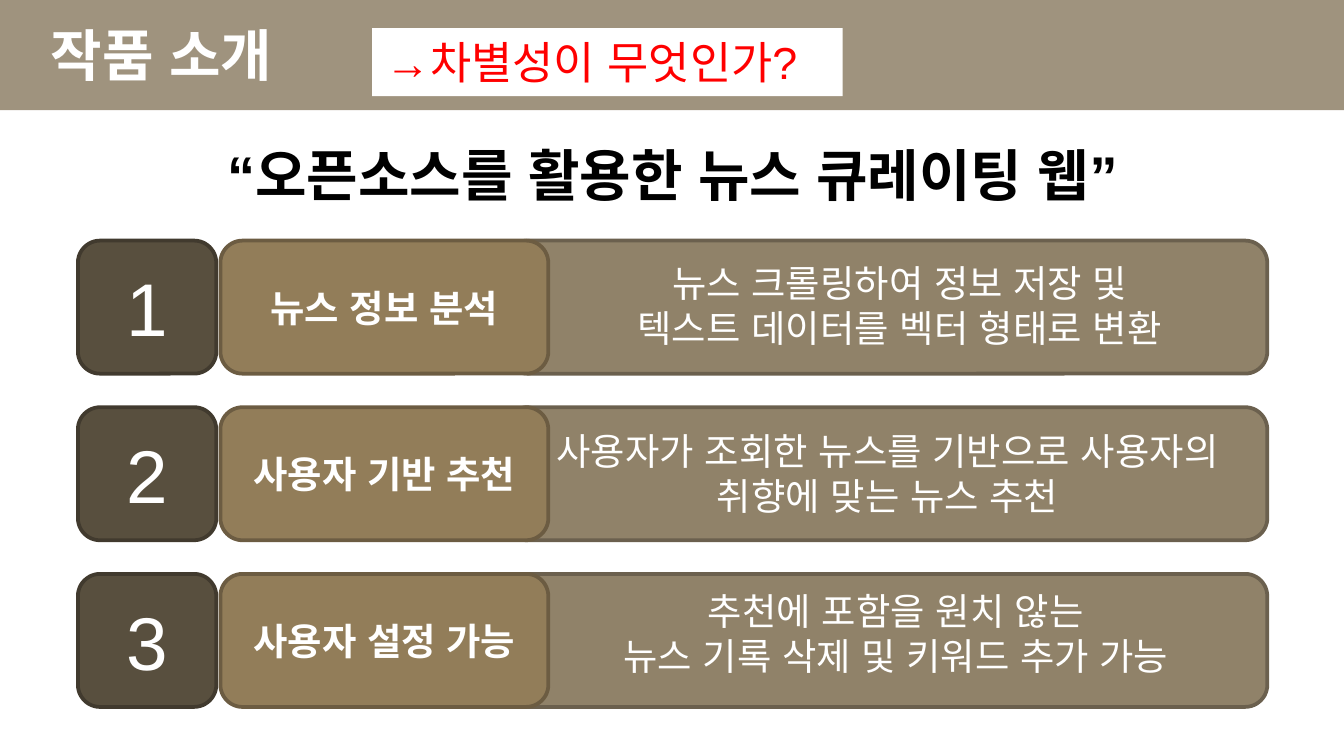
import pptx
import pptx.util
import pptx.dml.color
import pptx.enum.lang
import pptx.enum.shapes
import pptx.enum.text
import pptx.oxml
import pptx.oxml.ns

PX = 4572
FONT = "Arial"
HUES = {
    "white": "FFFFFF", "black": "000000", "red": "FF0000",
    "panel": "908269", "panel_edge": "6B604E",
    "badge": "584F3E", "badge_edge": "413A2E",
    "label": "927D59", "label_edge": "6C5C42",
}
KIND = pptx.enum.shapes.MSO_SHAPE
SIDE = pptx.enum.text.PP_ALIGN
HOLD = pptx.enum.text.MSO_ANCHOR
KOREAN = pptx.enum.lang.MSO_LANGUAGE_ID.KOREAN
ROWS = [
    ("뉴스 정보 분석", (816, 378, 1046, 154),
     ["뉴스 크롤링하여 정보 저장 및", "텍스트 데이터를 벡터 형태로 변환"]),
    ("사용자 기반 추천", (802, 628, 1038, 154),
     ["사용자가 조회한 뉴스를 기반으로 사용자의 취향에 맞는 뉴스 추천"]),
    ("사용자 설정 가능", (802, 866, 1078, 154),
     ["추천에 포함을 원치 않는 ", "뉴스 기록 삭제 및 키워드 추가 가능 "]),
]
TOP, STEP, TALL = 358, 248, 198


def scale(box):
    return [pptx.util.Emu(n * PX) for n in box]


def tint(name):
    return pptx.dml.color.RGBColor.from_string(HUES[name])


def node(tag, **form):
    part = pptx.oxml.parse_xml(f'<a:{tag} {pptx.oxml.ns.nsdecls("a")}/>')
    for key, value in form.items():
        part.set(key, value)
    return part


def apply(thing, form):
    for key, value in form.items():
        setattr(thing, key, value)


def write(shape, lines, size, hue="white", bold=False,
          align=SIDE.CENTER, hold=HOLD.MIDDLE):
    frame = shape.text_frame
    apply(frame, {"word_wrap": True, "vertical_anchor": hold})
    frame.text = "\n".join(lines)
    for para in frame.paragraphs:
        para.alignment = align
        for run in para.runs:
            apply(run.font, {"name": FONT, "size": pptx.util.Pt(size),
                             "bold": bold, "language_id": KOREAN})
            run.font.color.rgb = tint(hue)
            latin = run._r.rPr.find(pptx.oxml.ns.qn("a:latin"))
            latin.addnext(node("ea", typeface=FONT))


def block(slide, kind, box, fill, edge=None):
    shape = slide.shapes.add_shape(kind, *scale(box))
    shape.shadow.inherit = False
    shape.fill.solid()
    shape.fill.fore_color.rgb = tint(fill)
    if edge:
        shape.line.color.rgb = tint(edge)
        shape.line.width = pptx.util.Pt(2)
    else:
        shape.line.fill.background()
    return shape


def card(slide, box, name):
    return block(slide, KIND.ROUNDED_RECTANGLE, box, name, name + "_edge")


def words(slide, box, lines, size, **form):
    write(slide.shapes.add_textbox(*scale(box)), lines, size, **form)


def fade(shape, part):
    hue = shape.fill._xPr.find(".//" + pptx.oxml.ns.qn("a:srgbClr"))
    hue.append(node("alpha", val=str(part * 1000)))


def row(slide, rank, label, box, lines):
    top = TOP + rank * STEP
    card(slide, (752, top, 1134, TALL), "panel")
    words(slide, box, lines, 20, hold=HOLD.TOP)
    write(card(slide, (116, top, 206, TALL), "badge"), [str(rank + 1)], 40)
    write(card(slide, (328, top, 488, TALL), "label"), [label], 20, bold=True)


def main():
    deck = pptx.Presentation()
    deck.slide_width, deck.slide_height = scale((2000, 1125))
    slide = deck.slides.add_slide(deck.slide_layouts[6])
    fade(block(slide, KIND.RECTANGLE, (0, 0, 2000, 164), "panel"), 86)
    words(slide, (56, 10, 1888, 142), ["작품 소개"], 30, bold=True,
          align=SIDE.LEFT)
    words(slide, (220, 200, 1562, 122), ["“오픈소스를 활용한 뉴스 큐레이팅 웹”"],
          30, hue="black", bold=True, hold=HOLD.TOP)
    for rank, (label, box, lines) in enumerate(ROWS):
        row(slide, rank, label, box, lines)
    query = block(slide, KIND.RECTANGLE, (554, 42, 700, 101), "white")
    write(query, ["→차별성이 무엇인가?"], 24, hue="red", align=SIDE.LEFT,
          hold=HOLD.TOP)
    deck.save("out.pptx")


if __name__ == "__main__":
    main()
